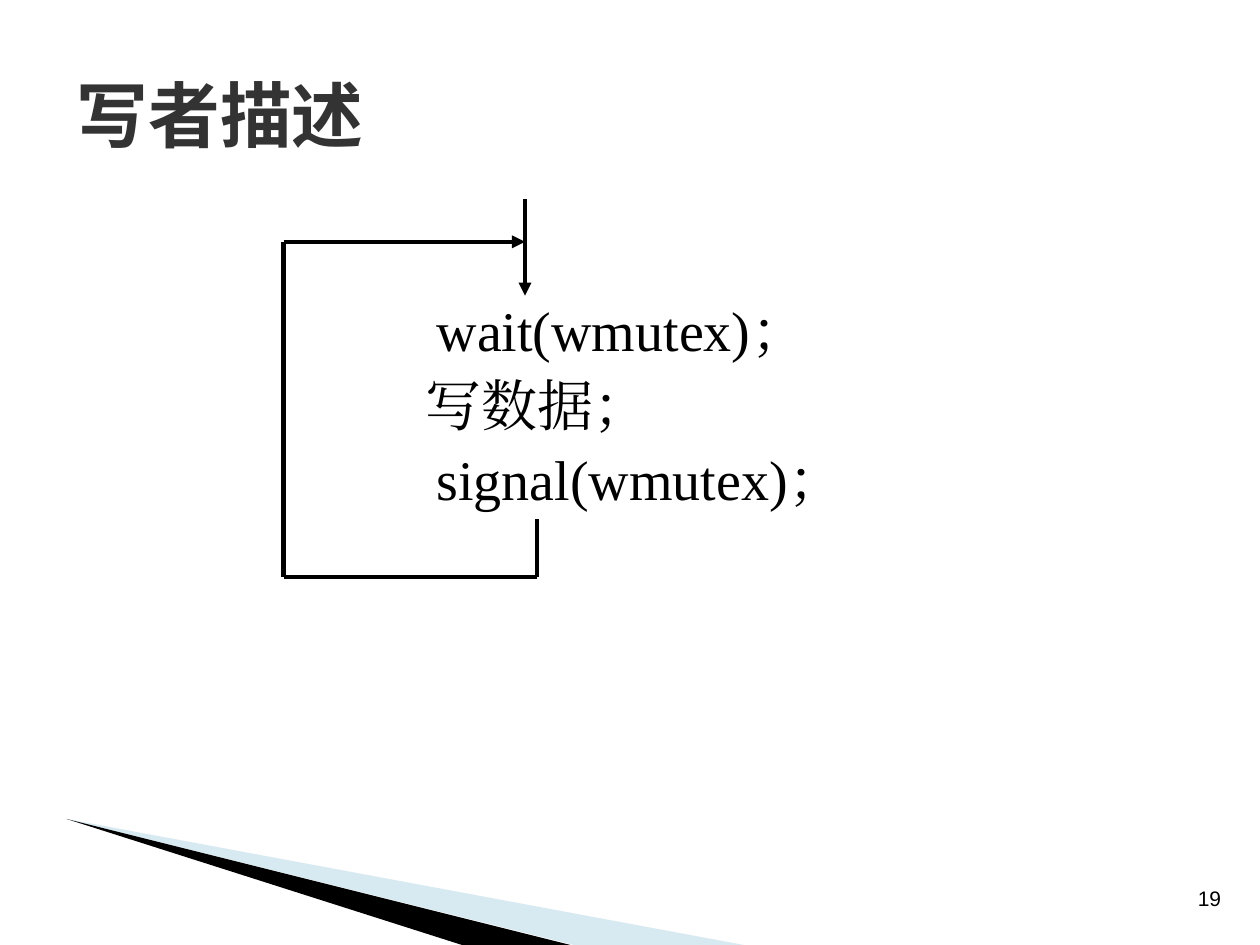
from itertools import pairwise

from lxml.etree import SubElement
from pptx import Presentation
from pptx.dml.color import RGBColor
from pptx.enum.shapes import MSO_CONNECTOR
from pptx.enum.text import MSO_ANCHOR, PP_ALIGN
from pptx.oxml.ns import qn
from pptx.util import Pt

COLORS = {"ink": "000000", "title": "333333", "wedge": "9FCBDC"}
CODE_STEPS = [("wait(wmutex)；", 56.6), ("写数据；", 50), ("signal(wmutex)；", 56.6)]
ENTRY = [(300, 114), (300, 169)]
LOOP = [(306.7, 296.6), (306.7, 329.8), (162, 329.8), (162, 138.2), (300, 138.2)]


def color(name):
    return RGBColor.from_string(COLORS[name])


def add_wedge(slide, corners, color_name, opacity=100):
    builder = slide.shapes.build_freeform(*corners[0], scale=Pt(1))
    builder.add_line_segments(corners[1:], close=True)
    wedge = builder.convert_to_shape()
    wedge.shadow.inherit = False
    wedge.line.fill.background()
    wedge.fill.solid()
    wedge.fill.fore_color.rgb = color(color_name)
    if opacity < 100:
        fill_color = wedge.fill._xPr.find(qn("a:solidFill"))[0]
        SubElement(fill_color, qn("a:alpha"), val=str(opacity * 1000))


def add_text(slide, box, lines, size, font, color_name="ink", bold=False,
             anchor=MSO_ANCHOR.TOP, wrap=True):
    frame = slide.shapes.add_textbox(*map(Pt, box)).text_frame
    frame.word_wrap = wrap
    frame.vertical_anchor = anchor
    frame.text = "\n".join(lines)
    for paragraph in frame.paragraphs:
        for run in paragraph.runs:
            run.font.size = Pt(size)
            run.font.name = font
            run.font.bold = bold
            run.font.color.rgb = color(color_name)
            SubElement(run.font._element, qn("a:ea"), typeface=font)
    return frame


def add_code(slide):
    lines = [line for line, _ in CODE_STEPS]
    frame = add_text(slide, (185.8, 169.2, 311.8, 154.8), lines, 32, "Times New Roman")
    for index, (paragraph, (_, indent)) in enumerate(zip(frame.paragraphs, CODE_STEPS)):
        paragraph.line_spacing = Pt(34.6)
        paragraph.space_before = Pt(8 if index else 0)
        paragraph._p.get_or_add_pPr().set("marL", str(Pt(indent)))


def add_flow(slide, points):
    segments = list(pairwise(points))
    for index, (start, end) in enumerate(segments):
        segment = slide.shapes.add_connector(
            MSO_CONNECTOR.STRAIGHT, *map(Pt, start + end))
        segment.line.width = Pt(2.5)
        segment.line.color.rgb = color("ink")
        if index == len(segments) - 1:
            SubElement(segment.line._get_or_add_ln(), qn("a:tailEnd"), type="triangle")
        SubElement(segment._element.spPr, qn("a:effectLst"))


def main():
    presentation = Presentation()
    presentation.slide_width, presentation.slide_height = Pt(720), Pt(540)
    slide = presentation.slides.add_slide(presentation.slide_layouts[6])

    add_wedge(slide, [(38.5, 468), (425, 540), (328, 540)], "wedge", opacity=40)
    add_wedge(slide, [(38.5, 467.5), (326, 540), (264, 540)], "ink")
    number = add_text(slide, (656.6, 502.6, 69.1, 21.6), ["19"], 12, "Arial",
                      anchor=MSO_ANCHOR.MIDDLE, wrap=False)
    number.paragraphs[0].alignment = PP_ALIGN.CENTER
    add_text(slide, (36.7, 20.2, 648, 90), ["写者描述"], 41, "Noto Sans CJK SC",
             "title", bold=True, anchor=MSO_ANCHOR.MIDDLE)
    add_code(slide)
    for route in (ENTRY, LOOP):
        add_flow(slide, route)

    presentation.save("out.pptx")


if __name__ == "__main__":
    main()
